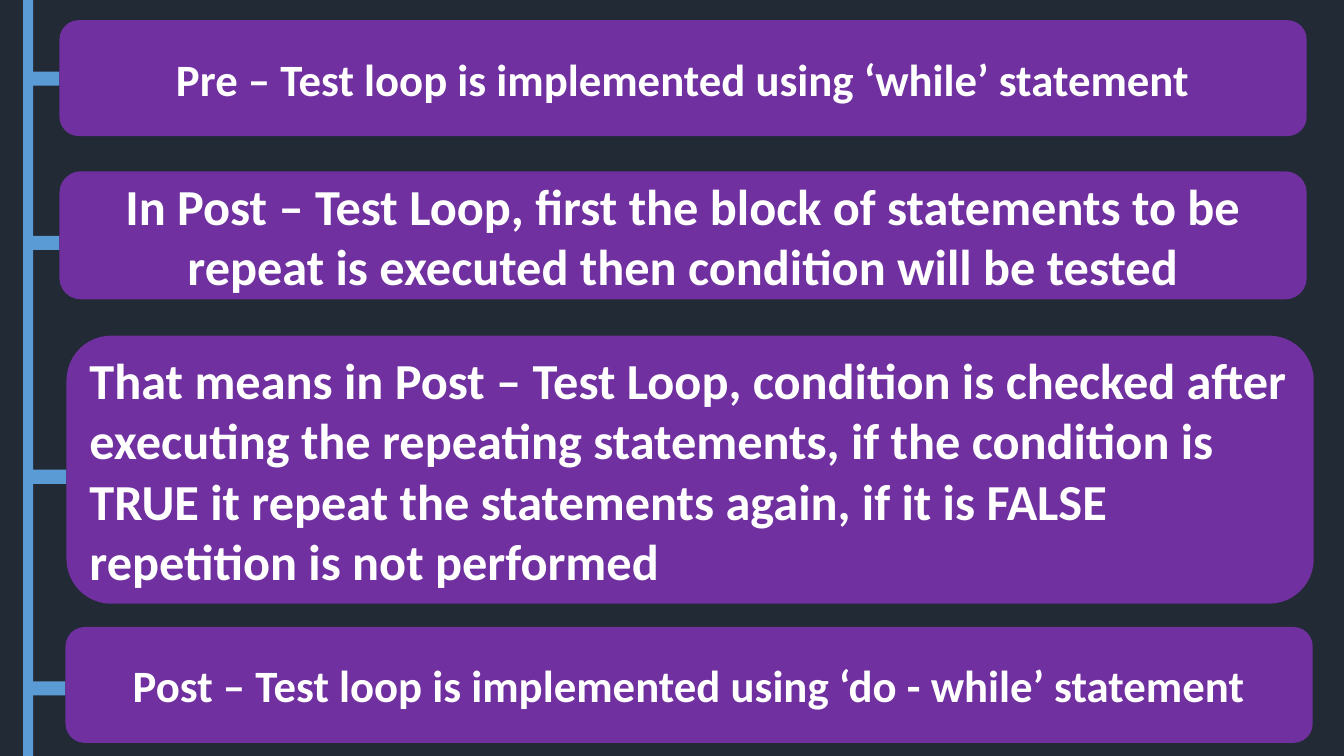
from pptx import Presentation
from pptx.dml.color import RGBColor
from pptx.enum import shapes, text
from pptx.util import Inches, Pt

BACKGROUND = RGBColor(0x22, 0x2A, 0x35)
BLUE = RGBColor(0x5B, 0x9B, 0xD5)
PURPLE = RGBColor(0x70, 0x30, 0xA0)
WHITE = RGBColor(0xFF, 0xFF, 0xFF)

SLIDE_WIDTH, SLIDE_HEIGHT = 13.34, 7.5
BOX_WIDTH = 12.38
BRANCH_WIDTH, BRANCH_HEIGHT = 0.35, 0.14
CENTER, LEFT = text.PP_ALIGN.CENTER, text.PP_ALIGN.LEFT

# Box left, top, height, branch top, font size, alignment, wording
STATEMENTS = [
    (0.59, 0.2, 1.15, 0.71, 32, CENTER,
     "Pre – Test loop is implemented using ‘while’ statement"),
    (0.59, 1.7, 1.27, 2.34, 36, CENTER,
     "In Post – Test Loop, first the block of statements to be repeat is "
     "executed then condition will be tested"),
    (0.66, 3.33, 2.66, 4.66, 36, LEFT,
     "That means in Post – Test Loop, condition is checked after executing "
     "the repeating statements, if the condition is TRUE it repeat the "
     "statements again, if it is FALSE repetition is not performed"),
    (0.65, 6.22, 1.15, 6.76, 32, CENTER,
     "Post – Test loop is implemented using ‘do - while’ statement"),
]


def add_filled_shape(slide, kind, left, top, width, height, color):
    shape = slide.shapes.add_shape(
        kind, Inches(left), Inches(top), Inches(width), Inches(height))
    shape.shadow.inherit = False
    shape.fill.solid()
    shape.fill.fore_color.rgb = color
    shape.line.fill.background()
    return shape


def add_bar(slide, left, top, width, height):
    add_filled_shape(slide, shapes.MSO_SHAPE.RECTANGLE,
                     left, top, width, height, BLUE)


def add_statement_box(slide, left, top, height, size, alignment, wording):
    box = add_filled_shape(slide, shapes.MSO_SHAPE.ROUNDED_RECTANGLE,
                           left, top, BOX_WIDTH, height, PURPLE)
    frame = box.text_frame
    frame.word_wrap = True
    frame.vertical_anchor = text.MSO_ANCHOR.MIDDLE
    frame.text = wording
    paragraph = frame.paragraphs[0]
    paragraph.alignment = alignment
    font = paragraph.runs[0].font
    font.name = "Calibri"
    font.size = Pt(size)
    font.bold = True
    font.color.rgb = WHITE


def main():
    presentation = Presentation()
    presentation.slide_width = Inches(SLIDE_WIDTH)
    presentation.slide_height = Inches(SLIDE_HEIGHT)
    slide = presentation.slides.add_slide(presentation.slide_layouts[6])
    slide.background.fill.solid()
    slide.background.fill.fore_color.rgb = BACKGROUND

    # Vertical spine
    add_bar(slide, 0.23, 0, 0.1, SLIDE_HEIGHT)

    # Statements, each joined to the spine by a short branch
    for left, top, height, branch_top, size, alignment, wording in STATEMENTS:
        add_bar(slide, left - BRANCH_WIDTH, branch_top,
                BRANCH_WIDTH, BRANCH_HEIGHT)
        add_statement_box(slide, left, top, height, size, alignment, wording)

    presentation.save("out.pptx")


if __name__ == "__main__":
    main()
